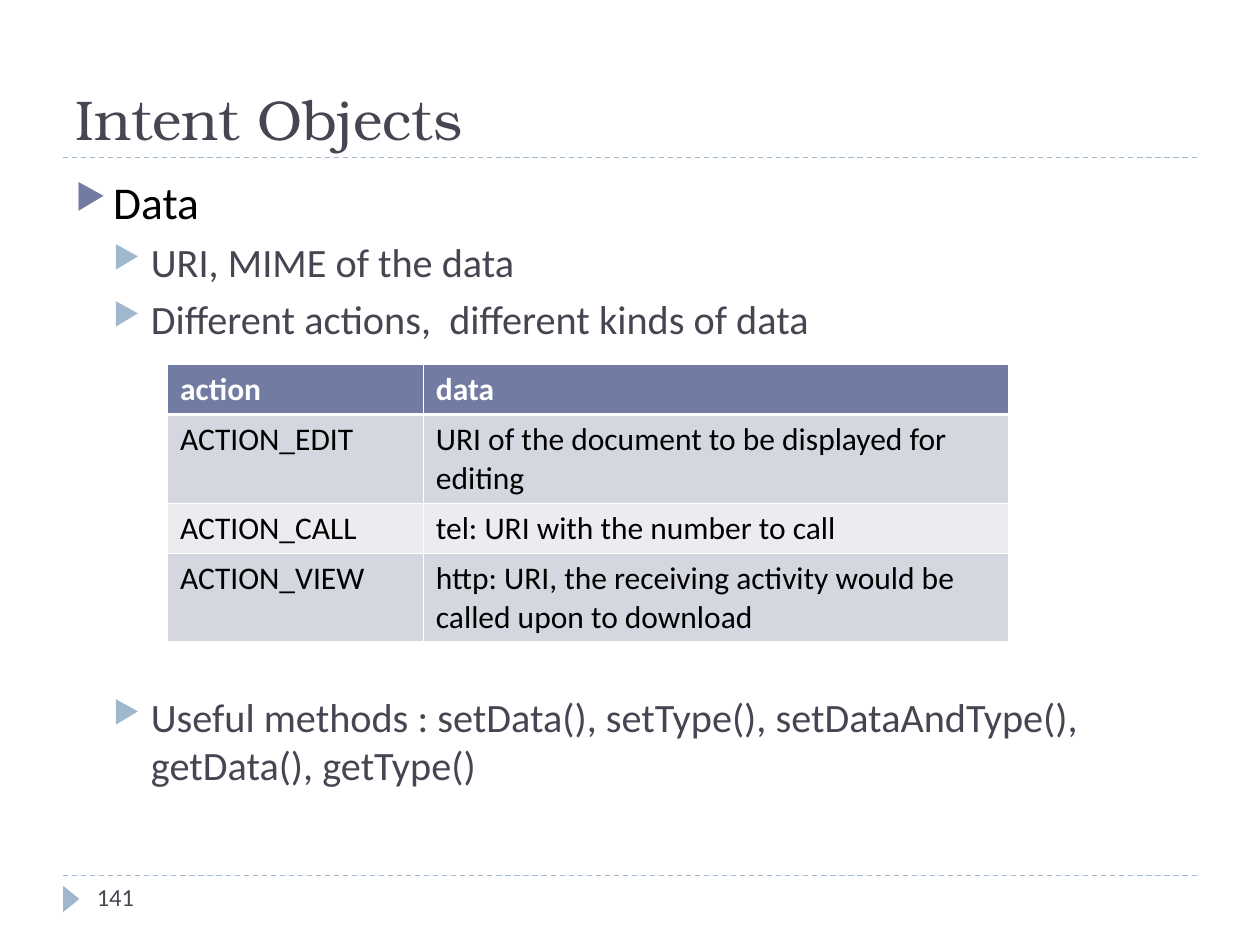
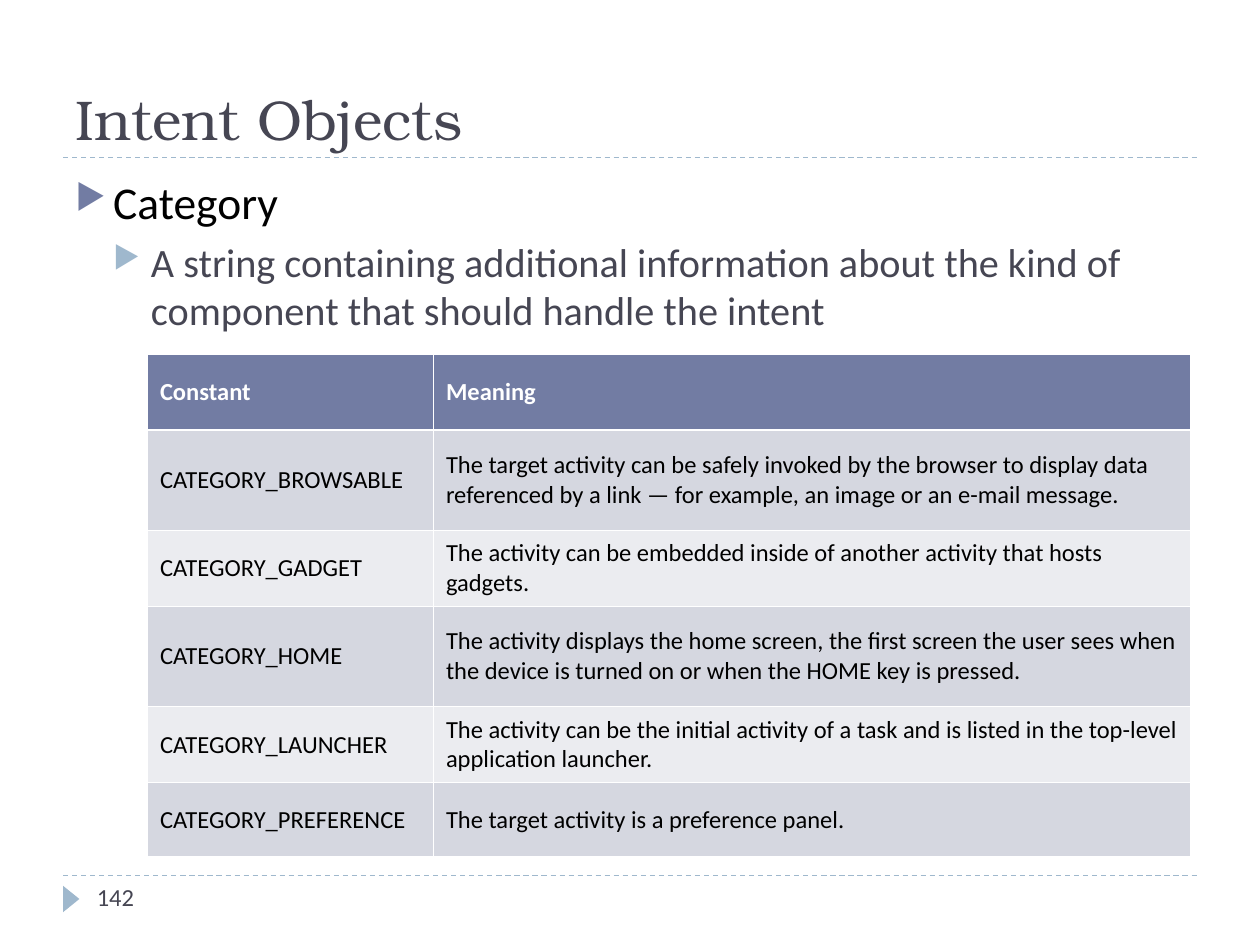
"""Build two slides on the data and category of intent objects."""
from dataclasses import dataclass

from lxml import etree
from pptx import Presentation
from pptx.dml.color import RGBColor
from pptx.enum.dml import MSO_LINE
from pptx.enum.shapes import MSO_CONNECTOR, MSO_SHAPE
from pptx.enum.text import MSO_ANCHOR
from pptx.oxml.ns import qn
from pptx.util import Inches, Pt

STRAIGHT = MSO_CONNECTOR.STRAIGHT
TRIANGLE = MSO_SHAPE.ISOSCELES_TRIANGLE
DASH = MSO_LINE.DASH
TOP, MIDDLE, BOTTOM = MSO_ANCHOR.TOP, MSO_ANCHOR.MIDDLE, MSO_ANCHOR.BOTTOM


@dataclass(frozen=True)
class Theme:
    """Colours, fonts and type sizes shared by the slides."""
    accent: str = "727CA3"
    pale: str = "9FB8CD"
    ink: str = "464653"
    black: str = "000000"
    white: str = "FFFFFF"
    bands: tuple = ("D5D7E0", "EBECF0")
    title_font: str = "TeX Gyre Bonum"
    body_font: str = "Calibri"
    title_size: int = 32
    topic_size: int = 26
    point_size: int = 23
    number_size: int = 14
    thin: float = 0.45
    thick: float = 1.47


THEME = Theme()


def format_runs(p, size, color, font=THEME.body_font, bold=False):
    """Format every run of a paragraph."""
    for r in p.runs:
        r.font.size = Pt(size)
        r.font.name = font
        r.font.bold = bold
        r.font.color.rgb = RGBColor.from_string(color)


def add_text_frame(s, left, top, width, height, anchor=TOP):
    """Add a wrapping text box and return its text frame."""
    box = s.shapes.add_textbox(Inches(left), Inches(top), Inches(width), Inches(height))
    tf = box.text_frame
    tf.word_wrap = True
    tf.vertical_anchor = anchor
    return tf


def add_rule(s, y):
    """Add a dashed rule across the slide."""
    line = s.shapes.add_connector(STRAIGHT, Inches(0.5), Inches(y), Inches(9.5), Inches(y))
    line.line.color.rgb = RGBColor.from_string(THEME.pale)
    line.line.width = Pt(0.75)
    line.line.dash_style = DASH
    etree.SubElement(line._element.spPr, qn("a:effectLst"))


def add_page_marker(s):
    """Add the triangle that points at the page number."""
    sp = s.shapes.add_shape(TRIANGLE, Inches(0.46), Inches(7.07), Inches(0.21), Inches(0.13))
    sp.rotation = 90
    sp.shadow.inherit = False
    sp.fill.solid()
    sp.fill.fore_color.rgb = RGBColor.from_string(THEME.pale)
    sp.line.fill.background()


def add_frame(prs, title, number):
    """Add a slide with its title, rules and page number."""
    s = prs.slides.add_slide(prs.slide_layouts[6])
    for y in (6.95, 1.25):
        add_rule(s, y)
    add_page_marker(s)
    tf = add_text_frame(s, 0.5, 0.17, 9, 1.08, BOTTOM)
    tf.text = title
    format_runs(tf.paragraphs[0], THEME.title_size, THEME.ink, THEME.title_font)
    tf = add_text_frame(s, 0.67, 6.95, 2.17, 0.4)
    tf.text = str(number)
    format_runs(tf.paragraphs[0], THEME.number_size, THEME.ink)
    return s


def set_bullet(p, color, indent):
    """Give a paragraph a hanging triangle bullet."""
    pPr = p._p.get_or_add_pPr()
    pPr.set("marL", str(Inches(indent)))
    pPr.set("indent", str(Inches(-0.3)))
    clr = etree.SubElement(pPr, qn("a:buClr"))
    etree.SubElement(clr, qn("a:srgbClr"), val=color)
    etree.SubElement(pPr, qn("a:buSzPct"), val="76000")
    etree.SubElement(pPr, qn("a:buChar"), char="▶")


def add_outline(s, topic, points):
    """Add a topic and its points, each given with the space before it."""
    tf = add_text_frame(s, 0.5, 1.33, 9, 5.4)
    p = tf.paragraphs[0]
    p.text = topic
    p.space_before = Pt(6)
    set_bullet(p, THEME.accent, 0.3)
    format_runs(p, THEME.topic_size, THEME.black)
    for text, space in points:
        p = tf.add_paragraph()
        p.text = text
        p.level = 1
        p.space_before = Pt(space)
        set_bullet(p, THEME.pale, 0.6)
        format_runs(p, THEME.point_size, THEME.ink)


def set_borders(cell, top, bottom):
    """Draw white borders around a cell."""
    tcPr = cell._tc.get_or_add_tcPr()
    widths = {"L": THEME.thin, "R": THEME.thin, "T": top, "B": bottom}
    for side, width in widths.items():
        ln = etree.SubElement(tcPr, qn(f"a:ln{side}"), w=str(Pt(width)))
        fill = etree.SubElement(ln, qn("a:solidFill"))
        etree.SubElement(fill, qn("a:srgbClr"), val=THEME.white)


def style_cell(cell, row, size, anchor):
    """Style a cell as header or as part of a band."""
    header = row == 0
    set_borders(cell, THEME.thick if row == 1 else THEME.thin,
                THEME.thick if header else THEME.thin)
    cell.fill.solid()
    color = THEME.accent if header else THEME.bands[(row - 1) % 2]
    cell.fill.fore_color.rgb = RGBColor.from_string(color)
    cell.vertical_anchor = anchor
    format_runs(cell.text_frame.paragraphs[0], size,
                THEME.white if header else THEME.black, bold=header)


def add_banded_table(s, left, top, widths, heights, rows, size, anchor=TOP):
    """Add a table with a header row and banded body."""
    table = s.shapes.add_table(len(rows), len(widths), Inches(left), Inches(top),
                               Inches(sum(widths)), Inches(sum(heights))).table
    for column, width in zip(table.columns, widths):
        column.width = Inches(width)
    for i, (height, texts) in enumerate(zip(heights, rows)):
        table.rows[i].height = Inches(height)
        for j, text in enumerate(texts):
            cell = table.cell(i, j)
            cell.text = text
            style_cell(cell, i, size, anchor)


def add_data_slide(prs):
    """Add the slide on intent data."""
    s = add_frame(prs, "Intent Objects", 141)
    add_outline(s, "Data", [
        ("URI, MIME of the data", 5),
        ("Different actions,  different kinds of data", 5),
        ("Useful methods : setData(), setType(), setDataAndType(), getData(), getType()", 200),
    ])
    add_banded_table(s, 1.33, 2.89, (2.03, 4.64), (0.4, 0.7) * 2, [
        ("action", "data"),
        ("ACTION_EDIT", "URI of the document to be displayed for editing"),
        ("ACTION_CALL", "tel: URI with the number to call"),
        ("ACTION_VIEW", "http: URI, the receiving activity would be called upon to download"),
    ], size=18)


def add_category_slide(prs):
    """Add the slide on intent categories."""
    s = add_frame(prs, "Intent Objects", 142)
    add_outline(s, "Category", [
        ("A string containing additional information about the kind of component "
         "that should handle the intent", 5),
    ])
    add_banded_table(s, 1.17, 2.81, (2.27, 6.01), (0.6, 0.8, 0.6, 0.8, 0.6, 0.59), [
        ("Constant", "Meaning"),
        ("CATEGORY_BROWSABLE",
         "The target activity can be safely invoked by the browser to display data "
         "referenced by a link — for example, an image or an e-mail message."),
        ("CATEGORY_GADGET",
         "The activity can be embedded inside of another activity that hosts gadgets."),
        ("CATEGORY_HOME",
         "The activity displays the home screen, the first screen the user sees when "
         "the device is turned on or when the HOME key is pressed."),
        ("CATEGORY_LAUNCHER",
         "The activity can be the initial activity of a task and is listed in the "
         "top-level application launcher."),
        ("CATEGORY_PREFERENCE", "The target activity is a preference panel."),
    ], size=14, anchor=MIDDLE)


def main():
    """Build and save the presentation."""
    prs = Presentation()
    prs.slide_width, prs.slide_height = Inches(10), Inches(7.5)
    add_data_slide(prs)
    add_category_slide(prs)
    prs.save("out.pptx")


if __name__ == "__main__":
    main()
